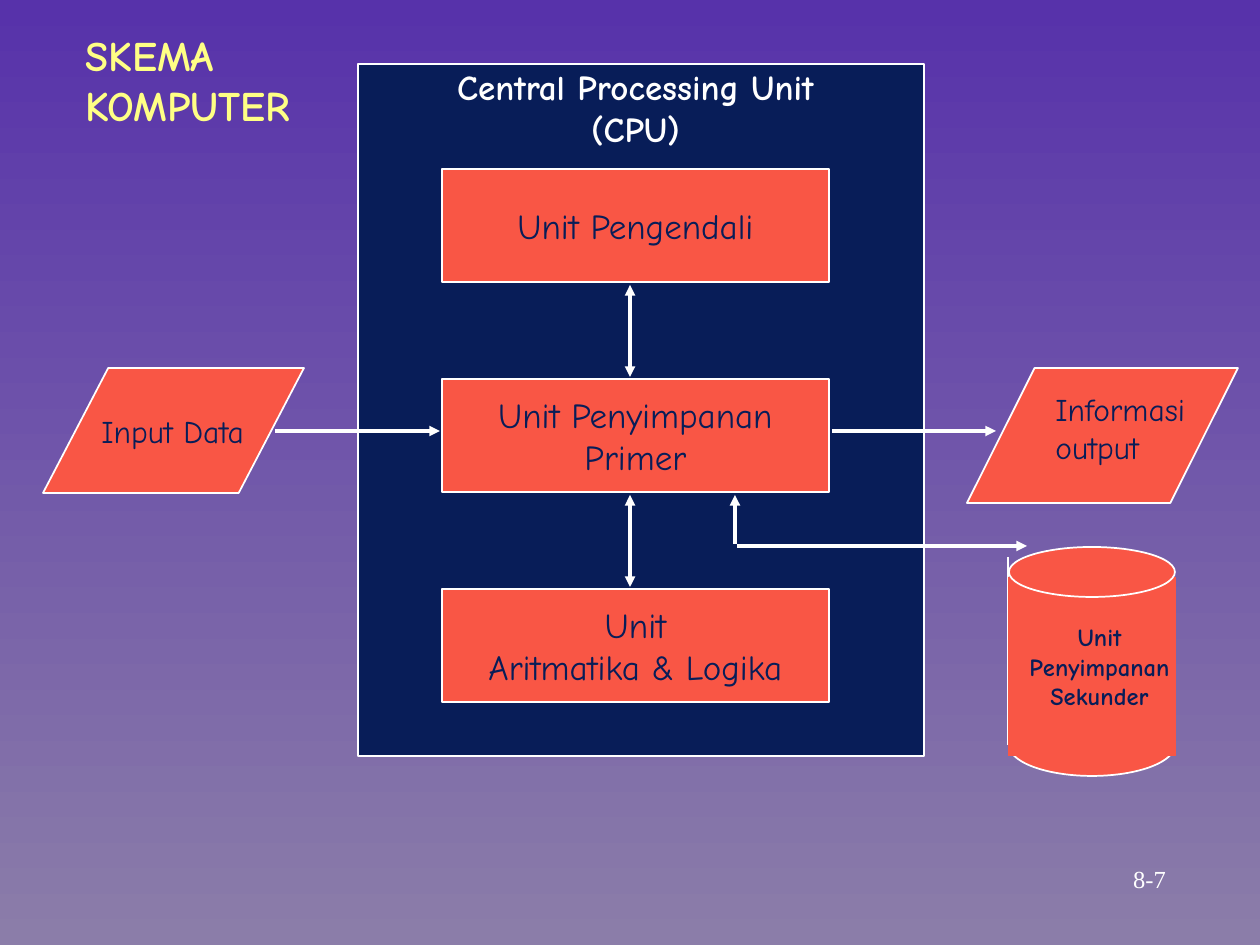
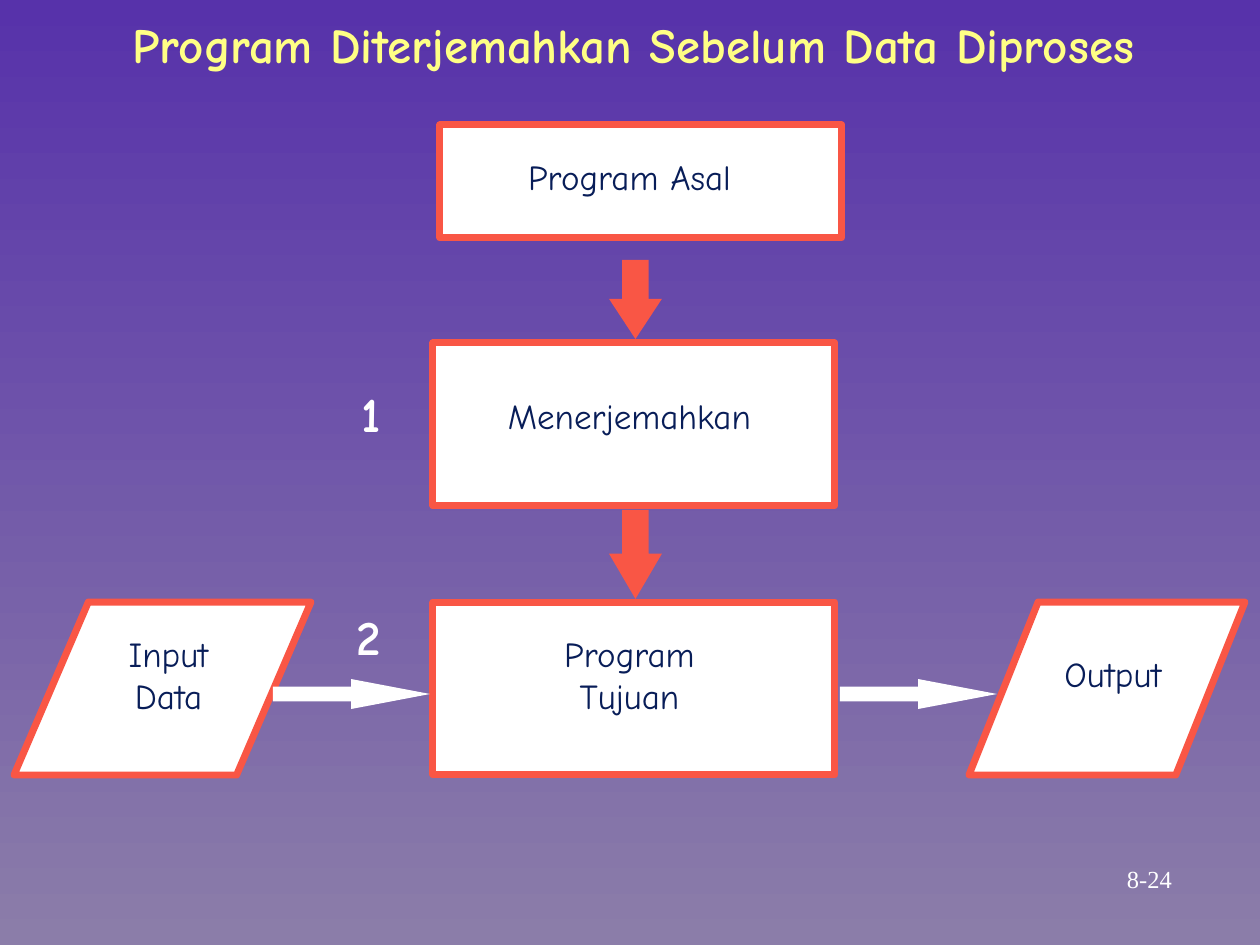
import pptx
import pptx.util
import pptx.dml.color
import pptx.enum.shapes
import pptx.enum.text
import pptx.oxml
import pptx.oxml.ns

COLORS = {"top": "5732AA", "bottom": "8B7DA9", "navy": "081D58",
          "coral": "F95645", "white": "FFFFFF", "yellow": "FFFF85"}
FONT, NUMBER_FONT = "Comic Neue", "Times New Roman"
SCALE = 914400 / 126
NUMBER_PLACE = (1075, 857, 149, 43)
KINDS = pptx.enum.shapes.MSO_SHAPE
ALIGN = pptx.enum.text.PP_ALIGN
ANCHOR = pptx.enum.text.MSO_ANCHOR

# Computer scheme: places are left, top, width, height
CPU_PLACE = (358, 64, 566, 692)
UNITS = ["Unit Pengendali", "Unit Penyimpanan\nPrimer", "Unit\nAritmatika & Logika"]
UNIT_LEFT, UNIT_TOP, UNIT_WIDTH, UNIT_HEIGHT, UNIT_STEP = 442, 169, 387, 113, 210
DATA_SHAPES = [((43, 368, 261, 125), 0.522), ((967, 368, 271, 135), 0.501)]
STORAGE_EDGE = (1008, 557, 1008, 745)
STORAGE_PARTS = [
    (KINDS.OVAL, (1009, 714, 166, 62), "white"),
    (KINDS.RECTANGLE, (1008, 577, 168, 179), None),
    (KINDS.OVAL, (1009, 547, 166, 50), "white"),
]
SCHEME_ARROWS = [  # start, end, arrowheads
    ((275, 431, 440, 431), ("tail",)),
    ((832, 431, 996, 431), ("tail",)),
    ((735, 495, 735, 544), ("head",)),
    ((737, 546, 1027, 546), ("tail",)),
]
SCHEME_LABELS = [  # text, place, size, colour, bold, alignment
    ("Central Processing Unit\n(CPU)", (444, 59, 383, 96), 20, "white", True, ALIGN.CENTER),
    ("Input Data", (89, 406, 169, 50), 18, "navy", False, ALIGN.LEFT),
    ("Informasi\noutput", (1043, 384, 154, 88), 18, "navy", False, ALIGN.LEFT),
    ("Unit\nPenyimpanan\nSekunder", (995, 616, 209, 101), 14, "navy", True, ALIGN.CENTER),
]

# Program translation
STEPS = [(440, 125, 402, 113), (433, 343, 402, 163), (433, 602, 402, 173)]
STEP_DATA = [((969, 602, 276, 173), 0.4), ((14, 602, 297, 173), 0.43)]
BLOCK_ARROWS = [  # kind, place, head length, colour
    (KINDS.DOWN_ARROW, (609, 260, 53, 79), 0.759, "coral"),
    (KINDS.DOWN_ARROW, (609, 510, 53, 89), 0.855, "coral"),
    (KINDS.RIGHT_ARROW, (273, 679, 157, 30), 2.629, "white"),
    (KINDS.RIGHT_ARROW, (840, 679, 157, 30), 2.629, "white"),
]
STEP_LABELS = [
    ("Program Asal", (440, 149, 379, 54), 20, "navy", False, ALIGN.CENTER),
    ("Menerjemahkan", (440, 388, 379, 54), 20, "navy", False, ALIGN.CENTER),
    ("Program\nTujuan", (440, 626, 379, 96), 20, "navy", False, ALIGN.CENTER),
    ("Output", (1052, 646, 122, 54), 20, "navy", False, ALIGN.CENTER),
    ("Input\nData", (116, 626, 105, 96), 20, "navy", False, ALIGN.CENTER),
    ("1", (349, 377, 44, 71), 28, "white", True, ALIGN.LEFT),
    ("2", (344, 600, 58, 71), 28, "white", True, ALIGN.LEFT),
]


def emu(place):
    return [pptx.util.Emu(round(length * SCALE)) for length in place]


def rgb(name):
    return pptx.dml.color.RGBColor.from_string(COLORS[name])


def write(box, text, size, color, bold=False, align=ALIGN.CENTER,
          anchor=ANCHOR.TOP, font=FONT):
    frame = box.text_frame
    frame.text = text
    frame.word_wrap = False
    frame.auto_size = pptx.enum.text.MSO_AUTO_SIZE.NONE
    frame.vertical_anchor = anchor
    for para in frame.paragraphs:
        para.alignment = align
        para.font.name = font
        para.font.size = pptx.util.Pt(size)
        para.font.bold = bold
        para.font.color.rgb = rgb(color)


def add_label(page, text, place, *style, **options):
    write(page.shapes.add_textbox(*emu(place)), text, *style, **options)


def add_block(page, kind, place, fill, line=None, width=1, adjust=None):
    block = page.shapes.add_shape(kind, *emu(place))
    block.shadow.inherit = False
    block.fill.solid()
    block.fill.fore_color.rgb = rgb(fill)
    if line:
        block.line.color.rgb = rgb(line)
        block.line.width = pptx.util.Pt(width)
    else:
        block.line.fill.background()
    if adjust is not None:
        block.adjustments[len(block.adjustments) - 1] = adjust
    return block


def add_line(page, ends, width, heads=()):
    line = page.shapes.add_connector(pptx.enum.shapes.MSO_CONNECTOR.STRAIGHT, *emu(ends))
    line.line.color.rgb = rgb("white")
    line.line.width = pptx.util.Pt(width)
    outline = line.line._get_or_add_ln()
    for end in heads:
        head = pptx.oxml.parse_xml(
            f'<a:{end}End {pptx.oxml.ns.nsdecls("a")} type="triangle"/>')
        outline.append(head)
    line._element.spPr.append(
        pptx.oxml.parse_xml(f'<a:effectLst {pptx.oxml.ns.nsdecls("a")}/>'))


def add_page(title, place, size, number):
    page = deck.slides.add_slide(deck.slide_layouts[5])
    heading = page.shapes.title
    heading.left, heading.top, heading.width, heading.height = emu(place)
    write(heading, title, size, "yellow", True, ALIGN.LEFT)
    add_label(page, number, NUMBER_PLACE, 14, "white",
              anchor=ANCHOR.MIDDLE, font=NUMBER_FONT)
    return page


# Deck and shared background
deck = pptx.Presentation()
deck.slide_width, deck.slide_height = emu((1260, 945))
backdrop = deck.slide_master.background.fill
backdrop.gradient()
backdrop.gradient_angle = 270
for stop, name in zip(backdrop.gradient_stops, ("top", "bottom")):
    stop.color.rgb = rgb(name)

# Slide 1: CPU with its units
page = add_page("SKEMA\nKOMPUTER", (73, 23, 232, 113), 24, "8-7")
add_block(page, KINDS.RECTANGLE, CPU_PLACE, "navy", "white")
for index, unit in enumerate(UNITS):
    top = UNIT_TOP + index * UNIT_STEP
    box = add_block(page, KINDS.RECTANGLE, (UNIT_LEFT, top, UNIT_WIDTH, UNIT_HEIGHT),
                    "coral", "white")
    write(box, unit, 20, "navy", anchor=ANCHOR.MIDDLE)
    if index:
        add_line(page, (630, top - UNIT_STEP + UNIT_HEIGHT + 3, 630, top - 2), 2,
                 ("head", "tail"))

# Input, output and secondary storage
for place, slant in DATA_SHAPES:
    add_block(page, KINDS.PARALLELOGRAM, place, "coral", "white", adjust=slant)
for ends, heads in SCHEME_ARROWS:
    add_line(page, ends, 2, heads)
add_line(page, STORAGE_EDGE, 1)
for kind, place, line in STORAGE_PARTS:
    add_block(page, kind, place, "coral", line)
for label in SCHEME_LABELS:
    add_label(page, *label)

# Slide 2: translation steps
page = add_page("Program Diterjemahkan Sebelum Data Diproses",
                (120, 8, 1032, 71), 28, "8-24")
for place in STEPS:
    add_block(page, KINDS.RECTANGLE, place, "white", "coral", 4)
for place, slant in STEP_DATA:
    add_block(page, KINDS.PARALLELOGRAM, place, "white", "coral", 4, slant)
for kind, place, head, color in BLOCK_ARROWS:
    add_block(page, kind, place, color, adjust=head)
for label in STEP_LABELS:
    add_label(page, *label)

deck.save("out.pptx")
